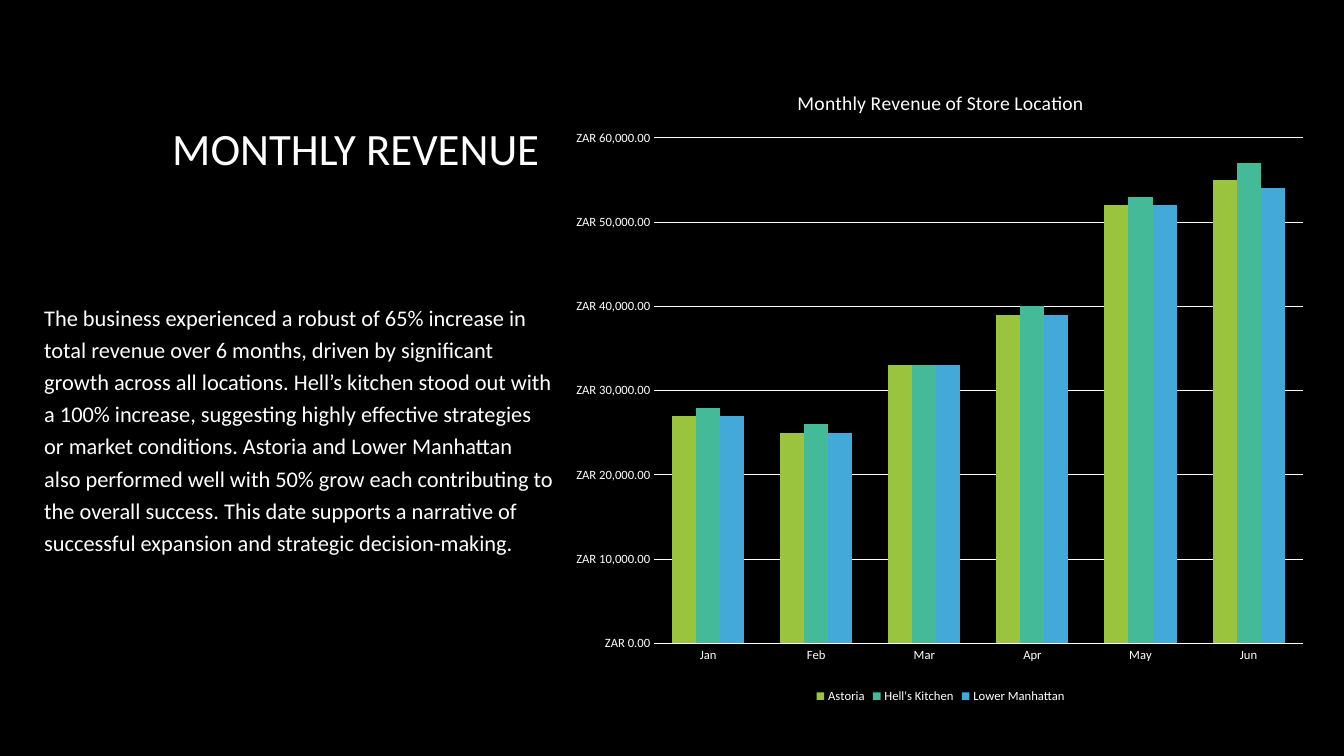
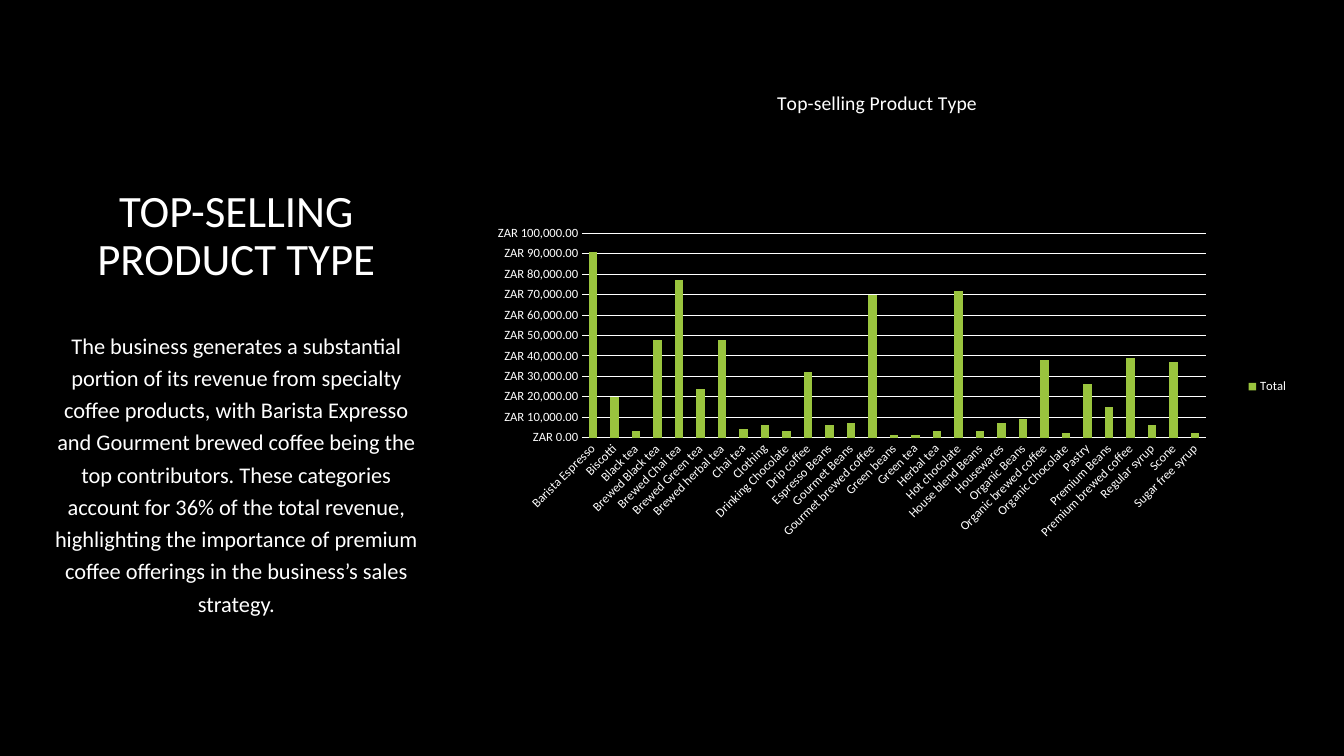
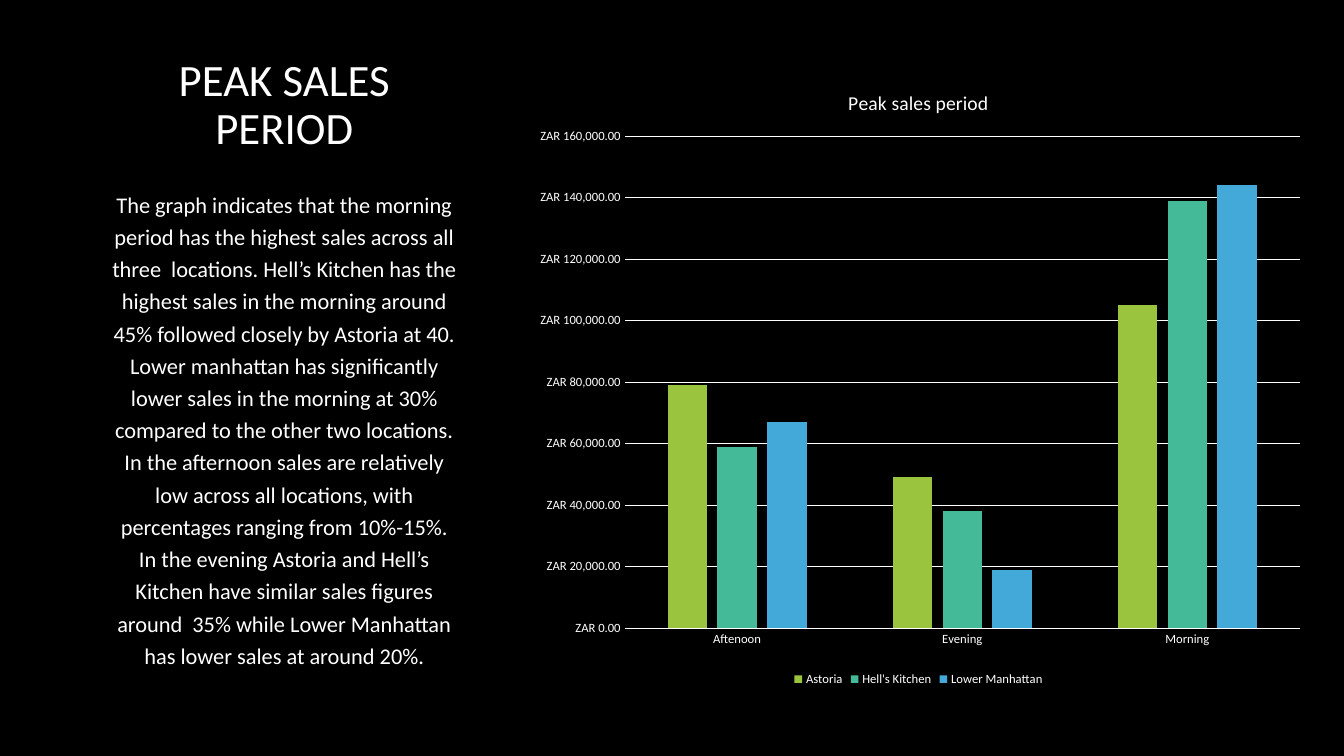
from dataclasses import dataclass

from lxml import etree
from pptx import Presentation
from pptx.chart.data import CategoryChartData
from pptx.dml.color import RGBColor
from pptx.enum.chart import XL_CHART_TYPE, XL_LEGEND_POSITION, XL_TICK_MARK
from pptx.enum.text import MSO_ANCHOR, PP_ALIGN
from pptx.oxml.ns import qn
from pptx.util import Inches, Pt

CLUSTER = XL_CHART_TYPE.COLUMN_CLUSTERED
STACK = XL_CHART_TYPE.COLUMN_STACKED
BELOW = XL_LEGEND_POSITION.BOTTOM
RIGHT = XL_LEGEND_POSITION.RIGHT
NONE = XL_TICK_MARK.NONE
TOP = MSO_ANCHOR.TOP
BOTTOM = MSO_ANCHOR.BOTTOM
LEFT = PP_ALIGN.LEFT
CENTER = PP_ALIGN.CENTER


@dataclass(frozen=True)
class Theme:
    back = RGBColor.from_string("000000")
    ink = RGBColor.from_string("FFFFFF")
    bars = [RGBColor.from_string(c) for c in ("9AC43E", "44BA98", "43A9D9")]
    face = "Calibri"
    title = Pt(32)
    body = Pt(16)
    head = Pt(14)
    label = Pt(9)
    line = Pt(0.75)
    money = "[$ZAR]\\ #,##0.00"


theme = Theme()


def style(font, size):
    font.name = theme.face
    font.size = size
    font.color.rgb = theme.ink


def write(slide, box, text, size, align, anchor, space, before):
    frame = slide.shapes.add_textbox(*map(Inches, box)).text_frame
    frame.word_wrap = True
    frame.vertical_anchor = anchor
    para = frame.paragraphs[0]
    para.text = text
    para.alignment = align
    para.line_spacing = space
    para.space_before = Pt(before)
    style(para.font, size)


stores = ["Astoria", "Hell's Kitchen", "Lower Manhattan"]

pages = [
    dict(
        title="MONTHLY REVENUE ",
        title_box=(0.64, 0.43, 5.88, 1.36),
        body="The business experienced a robust of 65% increase in total revenue "
        "over 6 months, driven by significant growth across all locations. "
        "Hell’s kitchen stood out with a 100% increase, suggesting highly "
        "effective strategies or market conditions. Astoria and Lower Manhattan "
        "also performed well with 50% grow each contributing to the overall "
        "success. This date supports a narrative of successful expansion and "
        "strategic decision-making.",
        body_box=(0.34, 2.91, 5.25, 2.98),
        align=LEFT,
        head="Monthly Revenue of Store Location",
        chart_box=(5.59, 0.67, 7.48, 6.35),
        kind=CLUSTER, legend=BELOW, gap=150, overlap=0, turn=0, axis=False,
        plot=(0.12, 0.11, 0.86, 0.79),
        top=60000, step=10000,
        cats=["Jan", "Feb", "Mar", "Apr", "May", "Jun"],
        names=stores,
        rows=[
            [27000, 25000, 33000, 39000, 52000, 55000],
            [28000, 26000, 33000, 40000, 53000, 57000],
            [27000, 25000, 33000, 39000, 52000, 54000],
        ],
    ),
    dict(
        title="TOP-SELLING PRODUCT TYPE",
        title_box=(0.36, 0.67, 3.97, 2.21),
        body="The business generates a substantial portion of its revenue from "
        "specialty coffee products, with Barista Expresso and Gourment brewed "
        "coffee being the top contributors. These categories account for 36% of "
        "the total revenue, highlighting the importance of premium coffee "
        "offerings in the business’s sales strategy.",
        body_box=(0.36, 3.19, 3.97, 2.92),
        align=CENTER,
        head="Top-selling Product Type",
        chart_box=(4.52, 0.67, 8.36, 6.33),
        kind=STACK, legend=RIGHT, gap=150, overlap=100, turn=-45, axis=False,
        plot=(0.15, 0.26, 0.74, 0.32),
        top=100000, step=10000,
        cats=[
            "Barista Espresso", "Biscotti", "Black tea", "Brewed Black tea",
            "Brewed Chai tea", "Brewed Green tea", "Brewed herbal tea",
            "Chai tea", "Clothing", "Drinking Chocolate", "Drip coffee",
            "Espresso Beans", "Gourmet Beans", "Gourmet brewed coffee",
            "Green beans", "Green tea", "Herbal tea", "Hot chocolate",
            "House blend Beans", "Housewares", "Organic Beans",
            "Organic brewed coffee", "Organic Chocolate", "Pastry",
            "Premium Beans", "Premium brewed coffee", "Regular syrup",
            "Scone", "Sugar free syrup",
        ],
        names=["Total"],
        rows=[[
            91000, 20000, 3000, 48000, 77000, 24000, 48000, 4000, 6000, 3000,
            32000, 6000, 7000, 70000, 1000, 1000, 3000, 72000, 3000, 7000,
            9000, 38000, 2000, 26000, 15000, 39000, 6000, 37000, 2000,
        ]],
    ),
    dict(
        title="PEAK SALES PERIOD",
        title_box=(1, 0.47, 3.64, 1.11),
        body="The graph indicates that the morning period has the highest sales "
        "across all three  locations. Hell’s Kitchen has the highest sales in "
        "the morning around 45% followed closely by Astoria at 40. Lower "
        "manhattan has significantly lower sales in the morning at 30% compared "
        "to the other two locations. In the afternoon sales are relatively low "
        "across all locations, with percentages ranging from 10%-15%. In the "
        "evening Astoria and Hell’s Kitchen have similar sales figures around  "
        "35% while Lower Manhattan has lower sales at around 20%.",
        body_box=(1, 1.79, 3.64, 5.06),
        align=CENTER,
        head="Peak sales period",
        chart_box=(5.17, 0.67, 7.88, 6.18),
        kind=CLUSTER, legend=BELOW, gap=219, overlap=-27, turn=0, axis=True,
        plot=(0.13, 0.11, 0.85, 0.79),
        top=160000, step=20000,
        cats=["Aftenoon", "Evening", "Morning"],
        names=stores,
        rows=[
            [79000, 49000, 105000],
            [59000, 38000, 139000],
            [67000, 19000, 144000],
        ],
    ),
]

prs = Presentation()
prs.slide_width = Inches(13.33)
prs.slide_height = Inches(7.5)
fill = prs.slide_master.background.fill
fill.solid()
fill.fore_color.rgb = theme.back

for page in pages:
    slide = prs.slides.add_slide(prs.slide_layouts[6])
    write(slide, page["title_box"], page["title"], theme.title, CENTER, BOTTOM, 0.9, 0)
    write(slide, page["body_box"], page["body"], theme.body, page["align"], TOP, 1.2, 10)

    data = CategoryChartData(number_format=theme.money)
    data.categories = page["cats"]
    for name, row in zip(page["names"], page["rows"]):
        data.add_series(name, row)
    box = map(Inches, page["chart_box"])
    chart = slide.shapes.add_chart(page["kind"], *box, data).chart
    style(chart.font, theme.label)

    chart.has_title = True
    head = chart.chart_title.text_frame.paragraphs[0]
    head.text = page["head"]
    style(head.font, theme.head)
    head.font.bold = False
    chart.chart_title.include_in_layout = False

    chart.has_legend = True
    chart.legend.position = page["legend"]
    chart.legend.include_in_layout = False
    style(chart.legend.font, theme.label)

    plot = chart.plots[0]
    plot.vary_by_categories = False
    plot.gap_width = page["gap"]
    plot.overlap = page["overlap"]
    for bar, color in zip(plot.series, theme.bars):
        bar.format.fill.solid()
        bar.format.fill.fore_color.rgb = color

    cat, val = chart.category_axis, chart.value_axis
    for axis in (cat, val):
        axis.major_tick_mark = NONE
        axis.minor_tick_mark = NONE
        axis.format.line.fill.background()
        style(axis.tick_labels.font, theme.label)
    if page["axis"]:
        cat.format.line.color.rgb = theme.ink
        cat.format.line.width = theme.line
    turn = cat.tick_labels.font._element.getparent().getparent().getparent()
    turn.find(qn("a:bodyPr")).set("rot", str(page["turn"] * 60000))

    val.minimum_scale = 0
    val.maximum_scale = page["top"]
    val.major_unit = page["step"]
    val.tick_labels.number_format = theme.money
    val.tick_labels.number_format_is_linked = False
    val.has_major_gridlines = True
    grid = val.major_gridlines.format.line
    grid.color.rgb = theme.ink
    grid.width = theme.line

    area = chart._chartSpace.chart.plotArea
    for old in area.findall(qn("c:layout")):
        area.remove(old)
    layout = etree.Element(qn("c:layout"))
    area.insert(0, layout)
    manual = etree.SubElement(layout, qn("c:manualLayout"))
    marks = [("layoutTarget", "inner"), ("xMode", "edge"), ("yMode", "edge")]
    for tag, value in marks + list(zip("xywh", page["plot"])):
        etree.SubElement(manual, qn("c:" + tag)).set("val", str(value))

prs.save("out.pptx")
